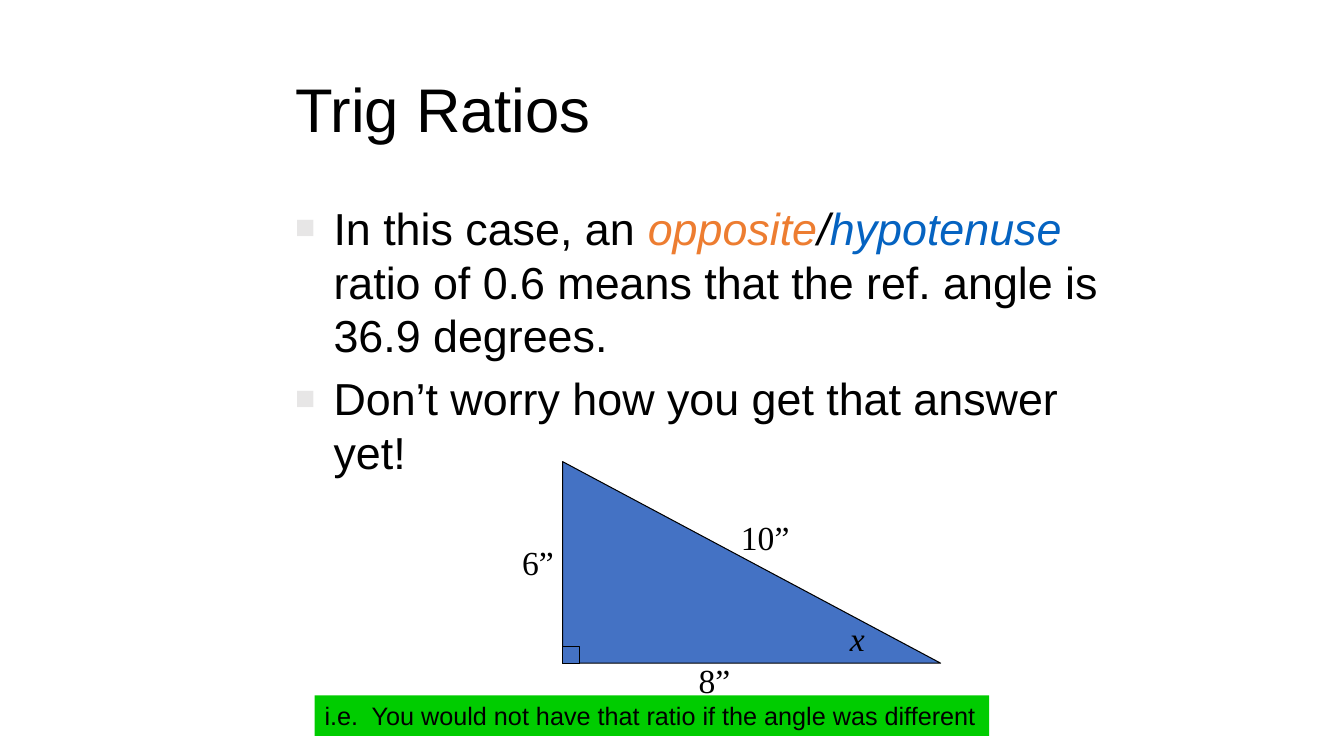
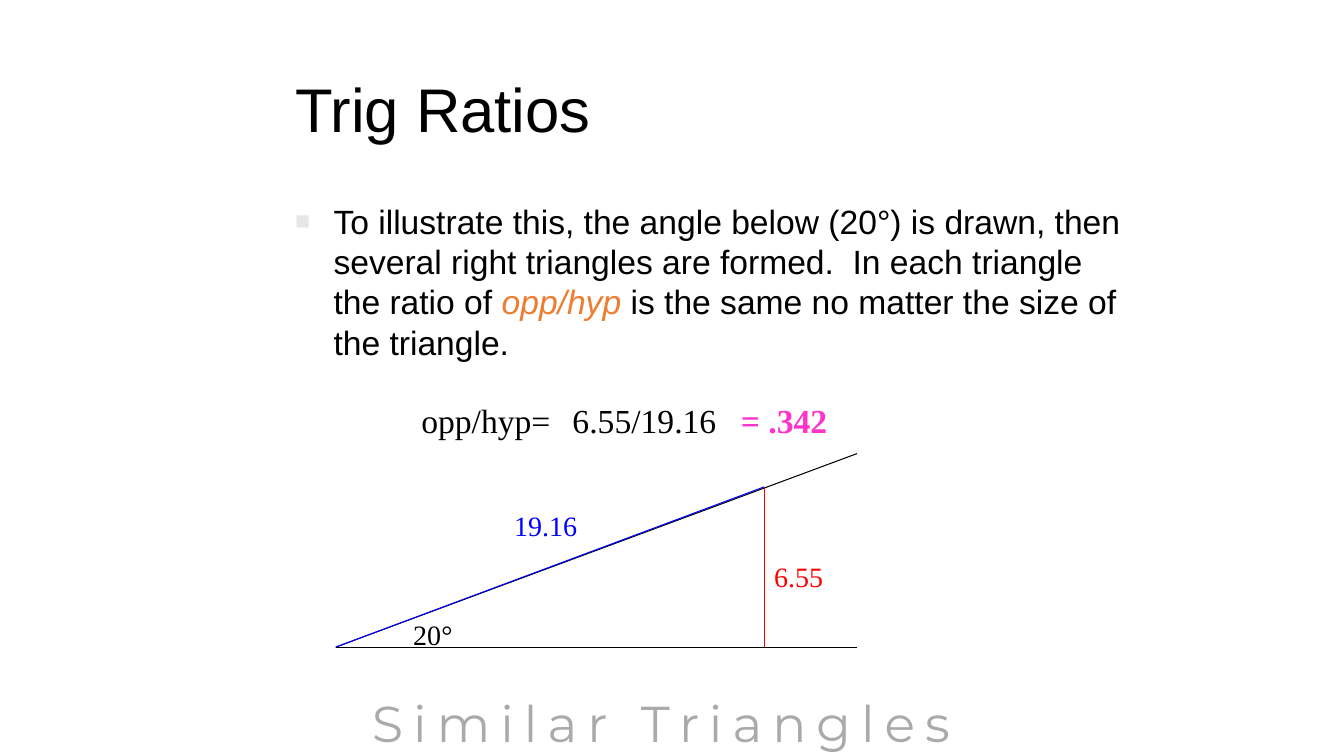
from lxml.etree import SubElement
from pptx import Presentation
from pptx.dml.color import RGBColor
from pptx.enum.shapes import MSO_CONNECTOR as Connector, MSO_SHAPE as Shape
from pptx.enum.text import MSO_ANCHOR as Anchor, PP_ALIGN as Align
from pptx.oxml.ns import qn
from pptx.util import Inches, Pt

BLACK, WHITE, GREY = "000000", "FFFFFF", "AAAAAA"
ORANGE, LINK_BLUE, FILL_BLUE = "ED7D31", "0563C1", "4472C4"
RED, BLUE, PINK, GREEN = "FF0000", "0000FF", "FF33CC", "00CC00"
BULLET_GREY = "E7E6E6"
SANS, SERIF, DISPLAY = "Arial", "Times New Roman", "Montserrat"


def color(hex_code):
    """Turn a hex string into a colour."""
    return RGBColor.from_string(hex_code)


def style(span, size, font=SANS, ink=BLACK, italic=False, bold=False):
    """Set the font of one run."""
    span.font.name, span.font.size = font, Pt(size)
    span.font.italic, span.font.bold = italic, bold
    span.font.color.rgb = color(ink)


def add_text(page, text, left, top, width, height, size, **look):
    """Add a one-line text box and return it."""
    box = page.shapes.add_textbox(*map(Inches, (left, top, width, height)))
    box.text_frame.word_wrap = True
    box.text_frame.text = text
    style(box.text_frame.paragraphs[0].runs[0], size, **look)
    return box


def add_label(page, text, left, top, width=1.08, size=24, **look):
    """Add a serif measurement label."""
    add_text(page, text, left, top, width, 0.5, size, font=SERIF, **look)


def add_page(deck, title):
    """Add a white slide with the shared title."""
    page = deck.slides.add_slide(deck.slide_layouts[6])
    page.background.fill.solid()
    page.background.fill.fore_color.rgb = color(WHITE)
    box = add_text(page, title, 2.83, 0.44, 8.5, 1.25, 44)
    box.text_frame.vertical_anchor = Anchor.MIDDLE
    return page


def set_bullet(para):
    """Give a paragraph a hanging square bullet."""
    props = para._p.get_or_add_pPr()
    props.set("marL", str(Inches(0.38)))
    props.set("indent", str(Inches(-0.38)))
    tint = SubElement(props, qn("a:buClr"))
    SubElement(tint, qn("a:srgbClr"), val=BULLET_GREY)
    SubElement(props, qn("a:buSzPct"), val="75000")
    SubElement(props, qn("a:buFont"), typeface=SANS)
    SubElement(props, qn("a:buChar"), char="■")


def add_bullets(page, height, size, bullets):
    """Add bullets, each a list of (text, colour) pieces with colour in italics."""
    box = page.shapes.add_textbox(*map(Inches, (2.83, 1.94, 8.5, height)))
    frame = box.text_frame
    frame.word_wrap = True
    for index, pieces in enumerate(bullets):
        para = frame.add_paragraph() if index else frame.paragraphs[0]
        set_bullet(para)
        if index:
            para.space_before = Pt(size * 0.2)
        for text, ink in pieces:
            span = para.add_run()
            span.text = text
            style(span, size, ink=ink or BLACK, italic=ink is not None)


def add_figure(page, kind, left, top, width, height, fill, line=None):
    """Add a filled preset shape, outlined if a line colour is given."""
    figure = page.shapes.add_shape(kind, *map(Inches, (left, top, width, height)))
    figure.shadow.inherit = False
    figure.fill.solid()
    figure.fill.fore_color.rgb = color(fill)
    if line:
        figure.line.color.rgb = color(line)
        figure.line.width = Pt(0.75)
    else:
        figure.line.fill.background()
    return figure


def add_line(page, start, end, ink=BLACK):
    """Draw a thin straight line between two points."""
    line = page.shapes.add_connector(Connector.STRAIGHT, *map(Inches, start + end))
    line.line.color.rgb = color(ink)
    line.line.width = Pt(0.75)
    SubElement(line._element.spPr, qn("a:effectLst"))


def add_banner(page, text):
    """Add the green remark at the foot of the slide."""
    banner = add_figure(page, Shape.RECTANGLE, 3.12, 6.9, 6.69, 0.4, GREEN)
    banner.text_frame.word_wrap = False
    banner.text_frame.text = text
    para = banner.text_frame.paragraphs[0]
    para.alignment = Align.LEFT
    style(para.runs[0], 18)


def add_caption(page, text):
    """Add the wide-spaced display caption."""
    box = add_text(page, text, 3.06, 6.82, 7, 0.68, 36, font=DISPLAY, ink=GREY)
    para = box.text_frame.paragraphs[0]
    para.alignment = Align.CENTER
    para.runs[0].font._element.set("spc", "720")


def build_ratio_page(deck):
    """Build the slide with the 6-8-10 triangle."""
    page = add_page(deck, "Trig Ratios")
    add_bullets(page, 4.5, 32, [
        [("In this case, an ", None), ("opposite", ORANGE), ("/", BLACK),
         ("hypotenuse", LINK_BLUE),
         (" ratio of 0.6 means that the ref. angle is 36.9 degrees.", None)],
        [("Don’t worry how you get that answer yet!", None)],
    ])
    add_figure(page, Shape.RIGHT_TRIANGLE, 5.58, 4.58, 3.75, 2, FILL_BLUE, BLACK)
    add_figure(page, Shape.RECTANGLE, 5.58, 6.41, 0.17, 0.17, FILL_BLUE, BLACK)
    add_label(page, "10”", 7.25, 5.08)
    add_label(page, "6”", 5.08, 5.33)
    add_label(page, "8”", 6.83, 6.5)
    add_label(page, "x", 8.33, 6.08, italic=True)
    add_banner(page, "i.e.  You would not have that ratio if the angle was different")


def build_angle_page(deck):
    """Build the slide with the 20° angle."""
    page = add_page(deck, "Trig Ratios")
    add_bullets(page, 1.31, 24, [
        [("To illustrate this, the angle below (20°) is drawn, then several right "
          "triangles are formed.  In each triangle the ratio of ", None),
         ("opp/hyp", ORANGE),
         (" is the same no matter the size of the triangle.", None)],
    ])
    vertex, foot, peak = (3.33, 6.42), (7.58, 6.42), (7.58, 4.83)
    add_line(page, vertex, (8.5, 6.42))
    add_line(page, vertex, (8.5, 4.5))
    add_line(page, foot, peak, RED)
    add_line(page, vertex, peak, BLUE)
    add_label(page, "20°", 4, 6.08, size=20)
    add_label(page, "6.55", 7.58, 5.5, size=20, ink=RED)
    add_label(page, "19.16", 5, 5, size=20, ink=BLUE)
    add_label(page, "opp/hyp=", 4.08, 3.92, 1.58)
    add_label(page, "6.55/19.16", 5.58, 3.92, 1.67)
    add_label(page, "= .342", 7.25, 3.92, 1.58, ink=PINK, bold=True)
    add_caption(page, "Similar Triangles")


def main():
    """Build and save the deck."""
    deck = Presentation()
    deck.slide_width, deck.slide_height = Inches(13.33), Inches(7.5)
    build_ratio_page(deck)
    build_angle_page(deck)
    deck.save("out.pptx")


if __name__ == "__main__":
    main()
